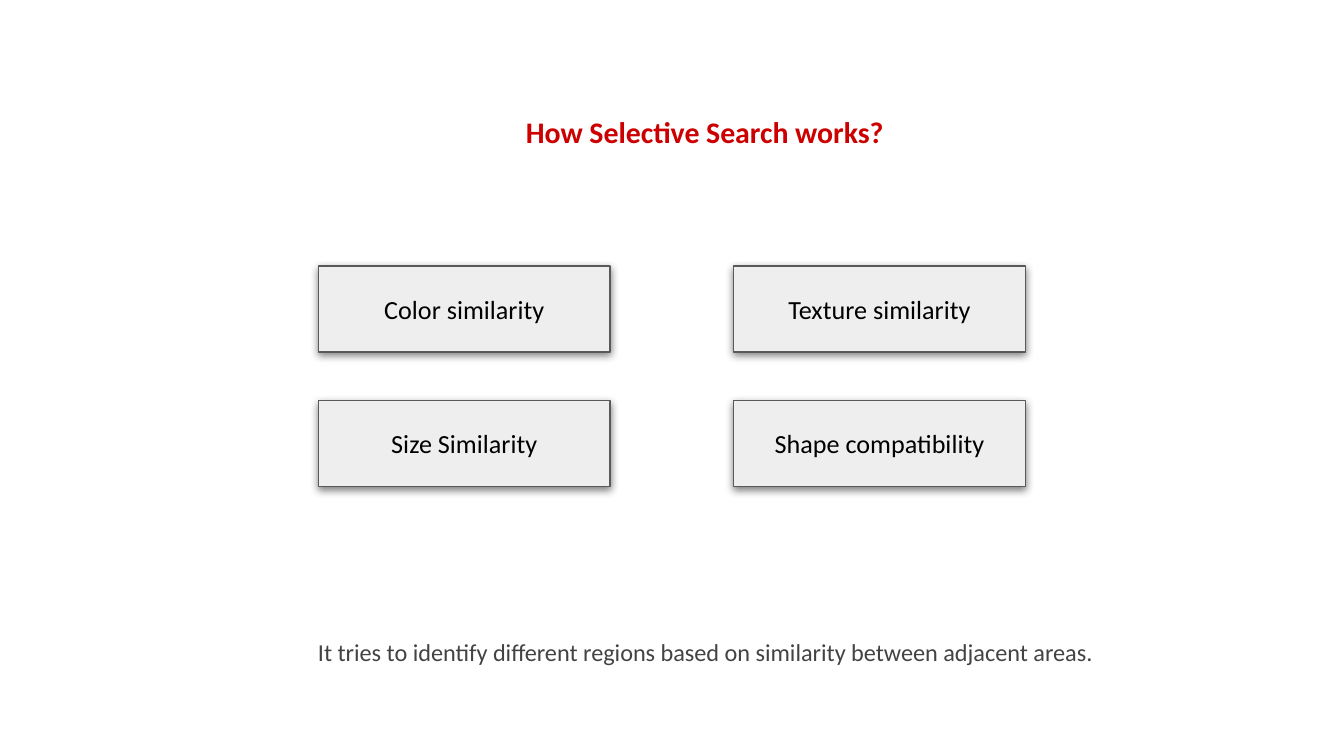
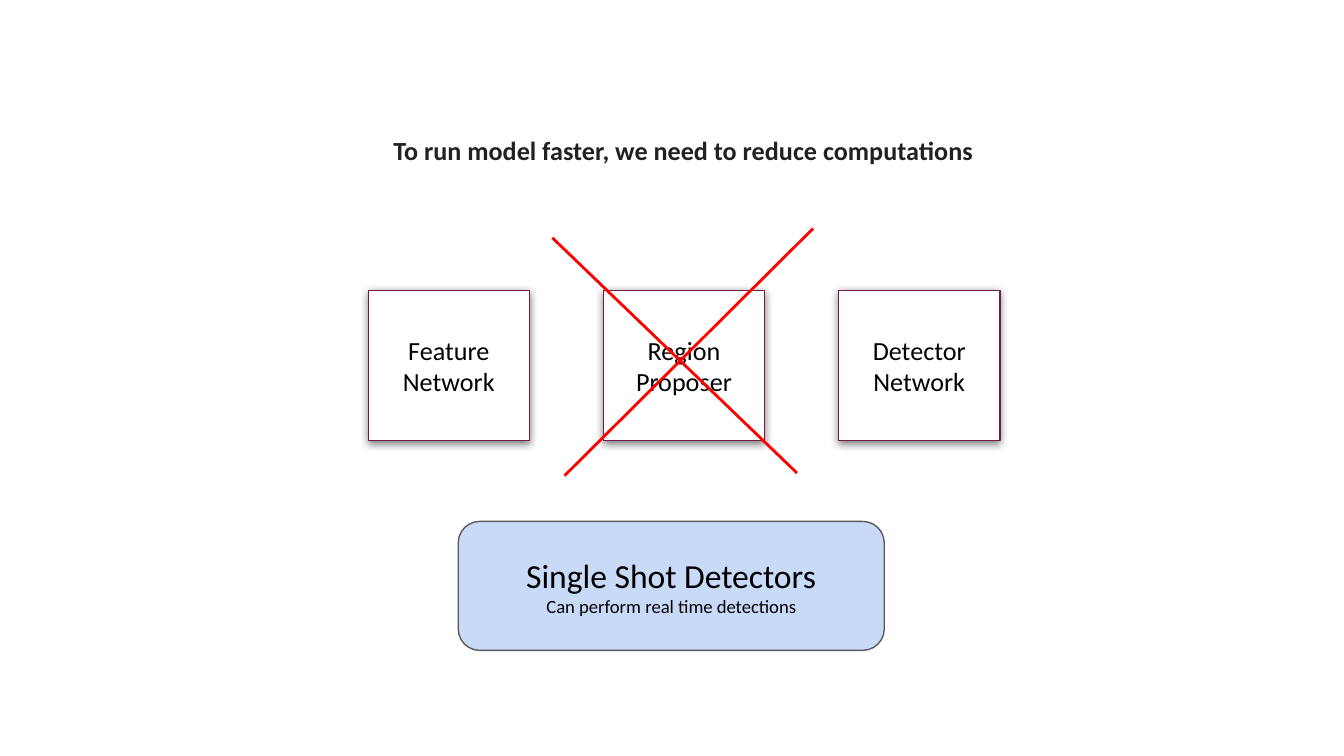
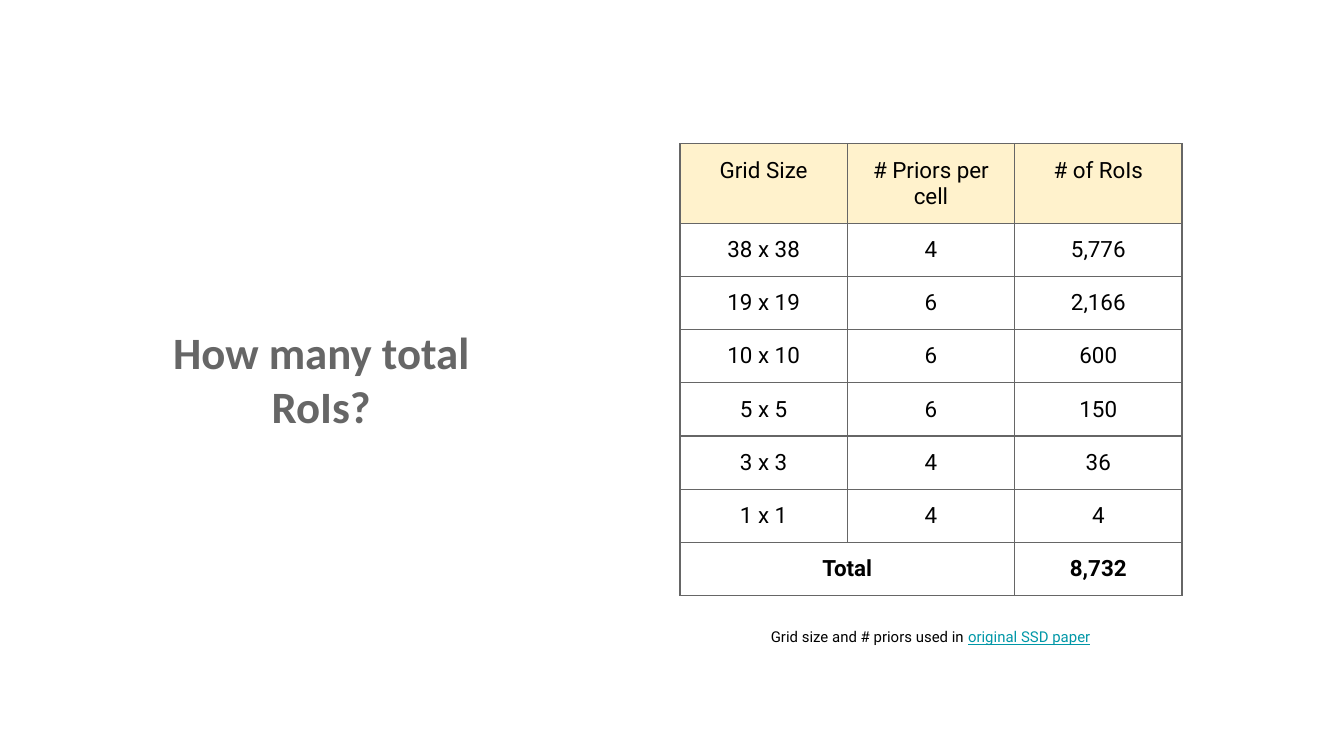
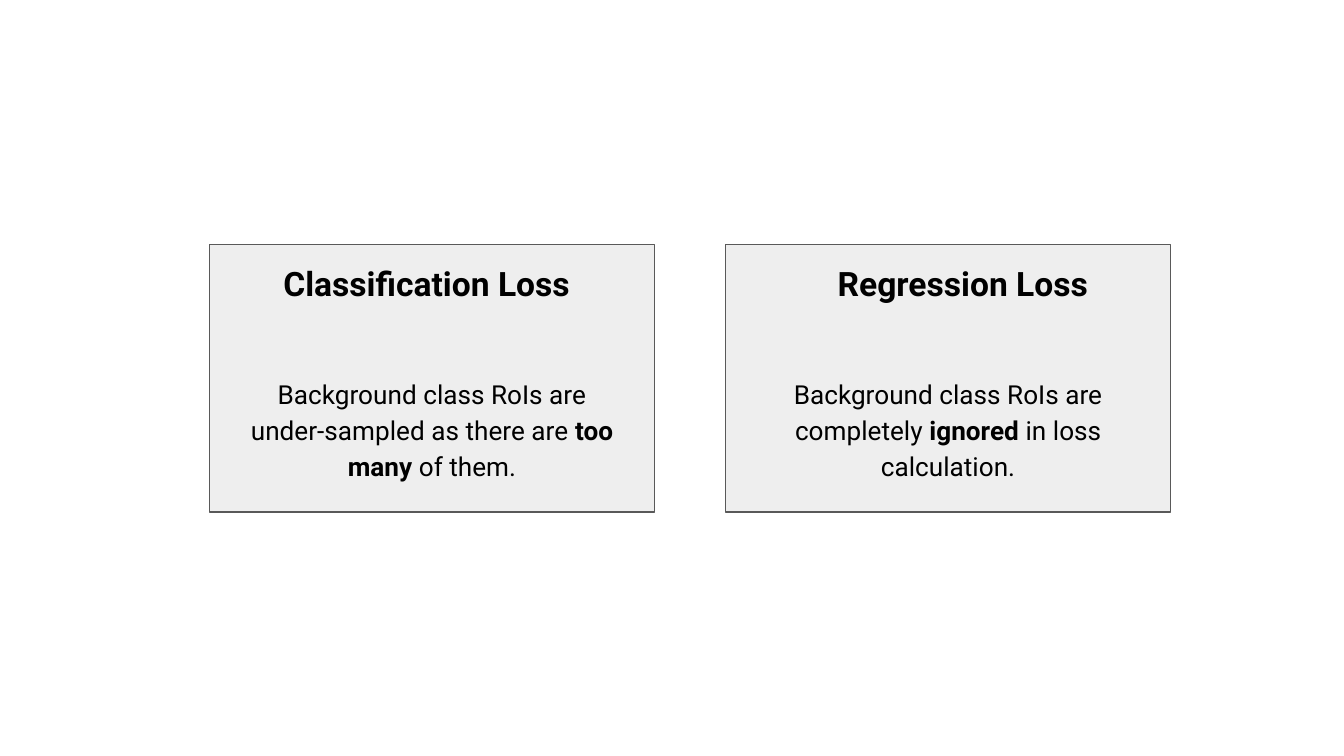
import lxml.etree
import pptx
import pptx.dml.color
import pptx.enum.shapes
import pptx.enum.text
import pptx.oxml.ns
import pptx.util

SHAPE = pptx.enum.shapes.MSO_SHAPE
ANCHOR = pptx.enum.text.MSO_ANCHOR
qn = pptx.oxml.ns.qn

CELL = pptx.util.Inches(0.1)
TITLE_ONLY, BLANK = 5, 6
BLACK, GREY, LINE, WHITE = "000000", "EEEEEE", "595959", "FFFFFF"
CALIBRI = dict(name="Calibri", color=BLACK)
ROBOTO = dict(name="Roboto", color=BLACK)
SPACED = dict(indent=5, spacing=1.5)

ROI_ROWS = [
    ["Grid Size", "# Priors per cell", "# of RoIs"],
    ["38 x 38", "4", "5,776"],
    ["19 x 19", "6", "2,166"],
    ["10 x 10", "6", "600"],
    ["5 x 5", "6", "150"],
    ["3 x 3", "4", "36"],
    ["1 x 1", "4", "4"],
    ["Total", "", "8,732"],
]


def rgb(color):
    """Turn a hex string into a colour."""
    return pptx.dml.color.RGBColor.from_string(color)


def grid(*cells):
    """Turn grid cells, 100 to the slide's width, into lengths."""
    return [round(n * CELL) for n in cells]


def child(parent, tag, **attrs):
    """Append a drawing element with the given attributes."""
    el = lxml.etree.SubElement(parent, qn(tag))
    for key, value in attrs.items():
        el.set(key, str(value))
    return el


def set_font(font, fmt):
    """Apply a dict of format values to a font."""
    for key, value in fmt.items():
        if key == "color":
            font.color.rgb = rgb(value)
        else:
            setattr(font, key, pptx.util.Pt(value) if key == "size" else value)


def set_frame(frame, anchor):
    """Give a text frame or a table cell its margins and anchor."""
    for side in ("left", "right", "top", "bottom"):
        setattr(frame, f"margin_{side}", CELL)
    frame.vertical_anchor = anchor


def write(tf, paragraphs, fmt, indent=0, spacing=None):
    """Write centred paragraphs, each a string or a list of (text, format) runs."""
    for i, runs in enumerate(paragraphs):
        p = tf.add_paragraph() if i else tf.paragraphs[0]
        p.alignment = pptx.enum.text.PP_ALIGN.CENTER
        if spacing:
            p.line_spacing = spacing
        if indent:
            pPr = p._p.get_or_add_pPr()
            pPr.set("marL", str(indent * CELL))
            pPr.set("indent", "0")
        for text, extra in [(runs, {})] if isinstance(runs, str) else runs:
            r = p.add_run()
            r.text = text
            set_font(r.font, {**fmt, **extra})


def fill_frame(sp, paragraphs, fmt, anchor, **layout):
    """Set up the text frame of a shape and write into it."""
    tf = sp.text_frame
    tf.word_wrap = True
    tf.auto_size = pptx.enum.text.MSO_AUTO_SIZE.NONE
    set_frame(tf, anchor)
    write(tf, paragraphs, fmt, **layout)


def add_slide(prs, layout):
    """Add a white slide."""
    s = prs.slides.add_slide(prs.slide_layouts[layout])
    s.background.fill.solid()
    s.background.fill.fore_color.rgb = rgb(WHITE)
    return s


def add_titled(prs, at, text, size, color, anchor=ANCHOR.MIDDLE, **layout):
    """Add a slide with its bold title at the given place."""
    s = add_slide(prs, TITLE_ONLY)
    sp = s.shapes.title
    sp.left, sp.top, sp.width, sp.height = grid(*at)
    fmt = dict(CALIBRI, size=size, color=color, bold=True)
    fill_frame(sp, [text], fmt, anchor, **layout)
    return s


def add_text(s, at, paragraphs, fmt, **layout):
    """Add a text box."""
    sp = s.shapes.add_textbox(*grid(*at))
    fill_frame(sp, paragraphs, fmt, ANCHOR.TOP, **layout)


def add_box(s, at, paragraphs=(), fill=GREY, line=LINE, shape=SHAPE.RECTANGLE, shadow=False):
    """Add an outlined box with text in its middle."""
    sp = s.shapes.add_shape(shape, *grid(*at))
    sp.fill.solid()
    sp.fill.fore_color.rgb = rgb(fill)
    sp.line.color.rgb = rgb(line)
    sp.line.width = pptx.util.Pt(0.75)
    sp.shadow.inherit = False
    if shadow:
        effects = sp._element.spPr.find(qn("a:effectLst"))
        outer = child(effects, "a:outerShdw", blurRad=pptx.util.Pt(4.5),
                      dist=pptx.util.Pt(1.5), dir=5400000, algn="bl", rotWithShape=0)
        child(child(outer, "a:srgbClr", val=BLACK), "a:alpha", val=50000)
    fill_frame(sp, paragraphs, dict(CALIBRI, size=14), ANCHOR.MIDDLE)


def add_stroke(s, *ends):
    """Add a red line between two points."""
    c = s.shapes.add_connector(pptx.enum.shapes.MSO_CONNECTOR.STRAIGHT, *grid(*ends))
    c.line.color.rgb = rgb("FF0000")
    c.line.width = pptx.util.Pt(1.5)
    child(c._element.spPr, "a:effectLst")


def add_borders(cell, color):
    """Draw a thin line on every side of a table cell."""
    tcPr = cell._tc.get_or_add_tcPr()
    for side in "LRTB":
        ln = child(tcPr, f"a:ln{side}", w=pptx.util.Pt(0.75))
        child(child(ln, "a:solidFill"), "a:srgbClr", val=color)


def add_table(s, left, top, col_width, row_height, rows):
    """Add a table with a tinted header and a bold total whose label spans two columns."""
    n_rows, n_cols = len(rows), len(rows[0])
    size = n_cols * col_width, n_rows * row_height
    table = s.shapes.add_table(n_rows, n_cols, *grid(left, top, *size)).table
    table.first_row = table.horz_banding = False
    table.cell(n_rows - 1, 0).merge(table.cell(n_rows - 1, 1))
    for i, row in enumerate(rows):
        for j, text in enumerate(row):
            cell = table.cell(i, j)
            set_frame(cell, ANCHOR.TOP)
            add_borders(cell, "666666")
            if i == 0:
                cell.fill.solid()
                cell.fill.fore_color.rgb = rgb("FFF2CC")
            else:
                cell.fill.background()
            if text:
                fmt = dict(ROBOTO, size=12, bold=i == n_rows - 1)
                write(cell.text_frame, [text], fmt)


def build_selective_search(prs):
    """Show the four similarity measures in a two by two grid."""
    s = add_titled(prs, (10.8, 6.1, 78.3, 4.7), "How Selective Search works?",
                   16, "CC0000", ANCHOR.TOP, **SPACED)
    measures = ["Color similarity", "Texture similarity",
                "Size Similarity", "Shape compatibility"]
    for i, measure in enumerate(measures):
        row, col = divmod(i, 2)
        add_box(s, (23.7 + 30.9 * col, 19.8 + 10 * row, 21.7, 6.4), [measure], shadow=True)
    note = "It tries to identify different regions based on similarity between adjacent areas."
    add_text(s, (10.8, 45.3, 78.3, 4.7), [note],
             dict(CALIBRI, size=13, color="434343"), **SPACED)


def build_faster_model(prs):
    """Cross out the region proposer and name its replacement."""
    s = add_titled(prs, (25.4, 7.9, 50.9, 6.5),
                   "To run model faster, we need to reduce computations", 14, "212121")
    detectors = [[("Single Shot Detectors", dict(size=18))],
                 [("Can perform real time detections", dict(size=10))]]
    add_box(s, (34.1, 38.8, 31.7, 9.6), detectors, "C9DAF8", shape=SHAPE.ROUNDED_RECTANGLE)
    stages = [["Feature", "Network"], ["Region Proposer"], ["Detector Network"]]
    for i, stage in enumerate(stages):
        add_box(s, (27.4 + 17.5 * i, 21.6, 12, 11.2), stage, WHITE, "741B47", shadow=True)
    add_stroke(s, 41.1, 17.7, 59.3, 35.2)
    add_stroke(s, 60.5, 17, 42, 35.4)


def build_roi_count(prs):
    """Count the regions of interest for each grid size."""
    s = add_titled(prs, (9.2, 16.6, 29.4, 23.1), "How many total RoIs?", 24, "666666")
    add_table(s, 50.6, 10.7, 12.45, 3.2, ROI_ROWS)
    source = [("Grid size and # priors used in ", {}),
              ("original SSD paper", dict(color="0097A7", underline=True))]
    add_text(s, (52.2, 45.7, 34.1, 6.2), [source], dict(ROBOTO, size=8))


def build_losses(prs):
    """Compare how the two losses treat background regions."""
    s = add_slide(prs, BLANK)
    bold = dict(bold=True)
    losses = [
        (10.1, "Classification Loss",
         [("Background class RoIs are under-sampled as there are ", {}),
          ("too many", bold), (" of them.", {})]),
        (50, "Regression Loss",
         [("Background class RoIs are completely ", {}),
          ("ignored ", bold), ("in loss calculation.", {})]),
    ]
    for i, (heading_left, heading, body) in enumerate(losses):
        left = 15.6 + 38.4 * i
        add_box(s, (left, 18.2, 33.1, 19.9))
        add_text(s, (heading_left, 18.6, 43.3, 6.9), [heading],
                 dict(ROBOTO, size=18, bold=True))
        add_text(s, (left + 1.85, 26.8, 29.4, 9.8), [body],
                 dict(ROBOTO, size=14), spacing=1.15)


def main():
    """Build the four slides and save them."""
    prs = pptx.Presentation()
    prs.slide_width, prs.slide_height = grid(100, 56.25)
    build_selective_search(prs)
    build_faster_model(prs)
    build_roi_count(prs)
    build_losses(prs)
    prs.save("out.pptx")


if __name__ == "__main__":
    main()
